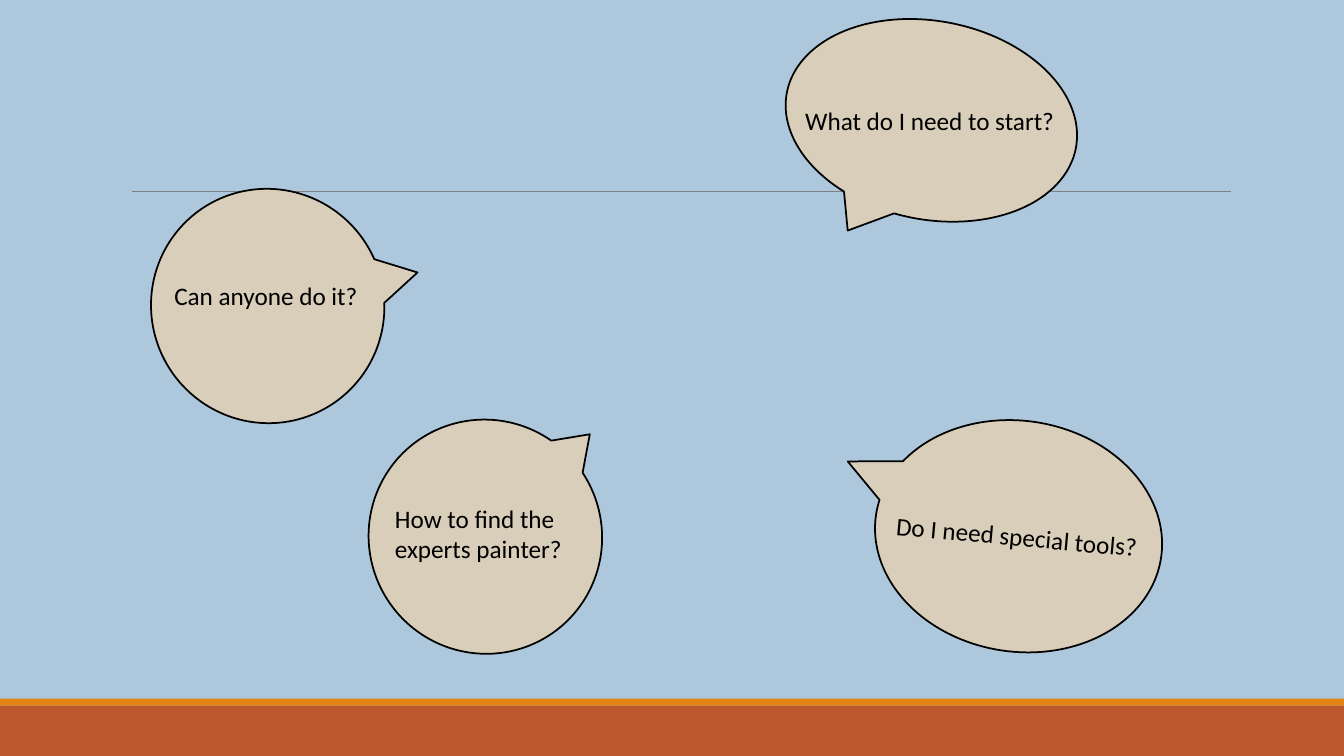
from pptx import Presentation
from pptx.dml.color import RGBColor
from pptx.enum.shapes import MSO_CONNECTOR, MSO_SHAPE
from pptx.enum.text import MSO_AUTO_SIZE
from pptx.oxml.ns import qn
from pptx.util import Pt
from lxml.etree import SubElement

WIDTH, HEIGHT = 960, 540
SKY, RUST, ORANGE = "ADC8DD", "BD582C", "E48312"
SAND, BLACK, GRAY = "D8CEBA", "000000", "808080"

# Each bubble: left, top, width, height, rotation
BUBBLES = [
    (107.3, 135.4, 167.8, 166.3, 238.8),
    (560.2, 15.1, 210.2, 141.8, 10.9),
    (645.1, 280.1, 164.9, 205.9, 98.7),
]
EXPERTS_BUBBLE = (262.8, 300.2, 167.8, 166.3, 234.8)

# Each question: wording, left, top, width, height, rotation, wrap
QUESTIONS = [
    ("What do I need to start?", 568.1, 72, 194.4, 29, 0, False),
    ("Can anyone do it?", 117.4, 196.6, 146.9, 29, 0, False),
    ("Do I need special tools?", 632.9, 368.6, 189.4, 29, 5.2, False),
    ("How to find the experts painter?", 275, 355.7, 179.3, 51, 0, True),
]


def color(hex_code):
    return RGBColor.from_string(hex_code)


def add_band(slide, top, height, fill):
    band = slide.shapes.add_shape(
        MSO_SHAPE.RECTANGLE, 0, Pt(top), Pt(WIDTH), Pt(height))
    band.shadow.inherit = False
    band.fill.solid()
    band.fill.fore_color.rgb = color(fill)
    band.line.fill.background()


def add_rule(slide, left, right, y):
    rule = slide.shapes.add_connector(
        MSO_CONNECTOR.STRAIGHT, Pt(left), Pt(y), Pt(right), Pt(y))
    rule.line.color.rgb = color(GRAY)
    rule.line.width = Pt(0.5)
    SubElement(rule._element.spPr, qn("a:effectLst"))


def add_bubble(slide, left, top, width, height, rotation, tail=None):
    bubble = slide.shapes.add_shape(
        MSO_SHAPE.OVAL_CALLOUT, Pt(left), Pt(top), Pt(width), Pt(height))
    bubble.rotation = rotation
    bubble.shadow.inherit = False
    bubble.fill.solid()
    bubble.fill.fore_color.rgb = color(SAND)
    bubble.line.color.rgb = color(BLACK)
    bubble.line.width = Pt(1.25)
    if tail:
        bubble.adjustments[0], bubble.adjustments[1] = tail


def add_question(slide, wording, left, top, width, height, rotation, wrap):
    question = slide.shapes.add_textbox(
        Pt(left), Pt(top), Pt(width), Pt(height))
    question.rotation = rotation
    frame = question.text_frame
    frame.word_wrap = wrap
    frame.auto_size = MSO_AUTO_SIZE.SHAPE_TO_FIT_TEXT
    frame.text = wording
    font = frame.paragraphs[0].runs[0].font
    font.name = "Calibri"
    font.size = Pt(18)
    font.color.rgb = color(BLACK)


def main():
    deck = Presentation()
    deck.slide_width, deck.slide_height = Pt(WIDTH), Pt(HEIGHT)
    slide = deck.slides.add_slide(deck.slide_layouts[6])

    # Background, footer bands and title rule
    slide.background.fill.solid()
    slide.background.fill.fore_color.rgb = color(SKY)
    add_band(slide, 504, 36, RUST)
    add_band(slide, 499, 5, ORANGE)
    add_rule(slide, 94.3, 879.1, 136.8)

    # Speech bubbles
    for bubble in BUBBLES:
        add_bubble(slide, *bubble)
    add_bubble(slide, *EXPERTS_BUBBLE, tail=(0.1, 0.62))

    # Questions over the bubbles
    for question in QUESTIONS:
        add_question(slide, *question)

    deck.save("out.pptx")


if __name__ == "__main__":
    main()
